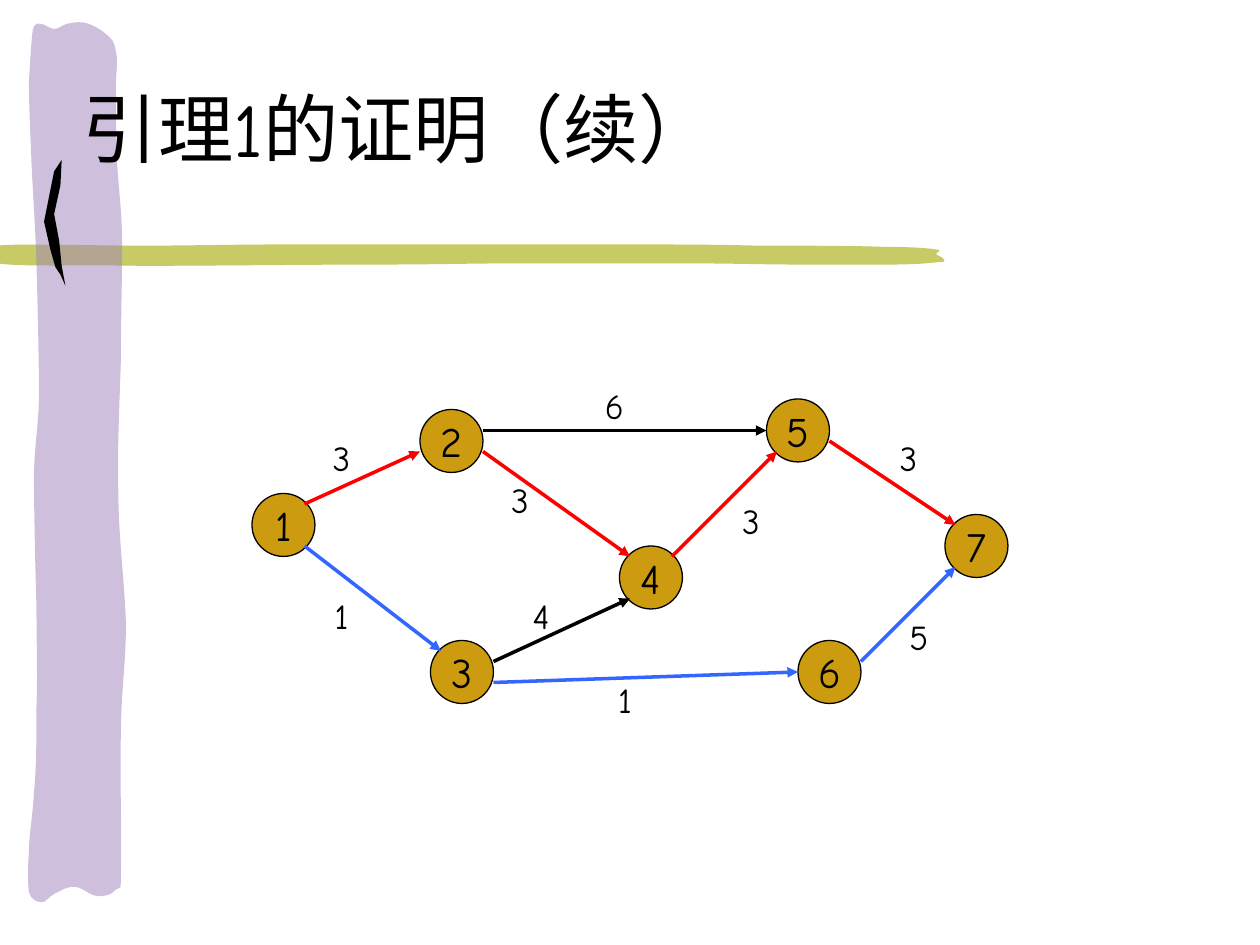
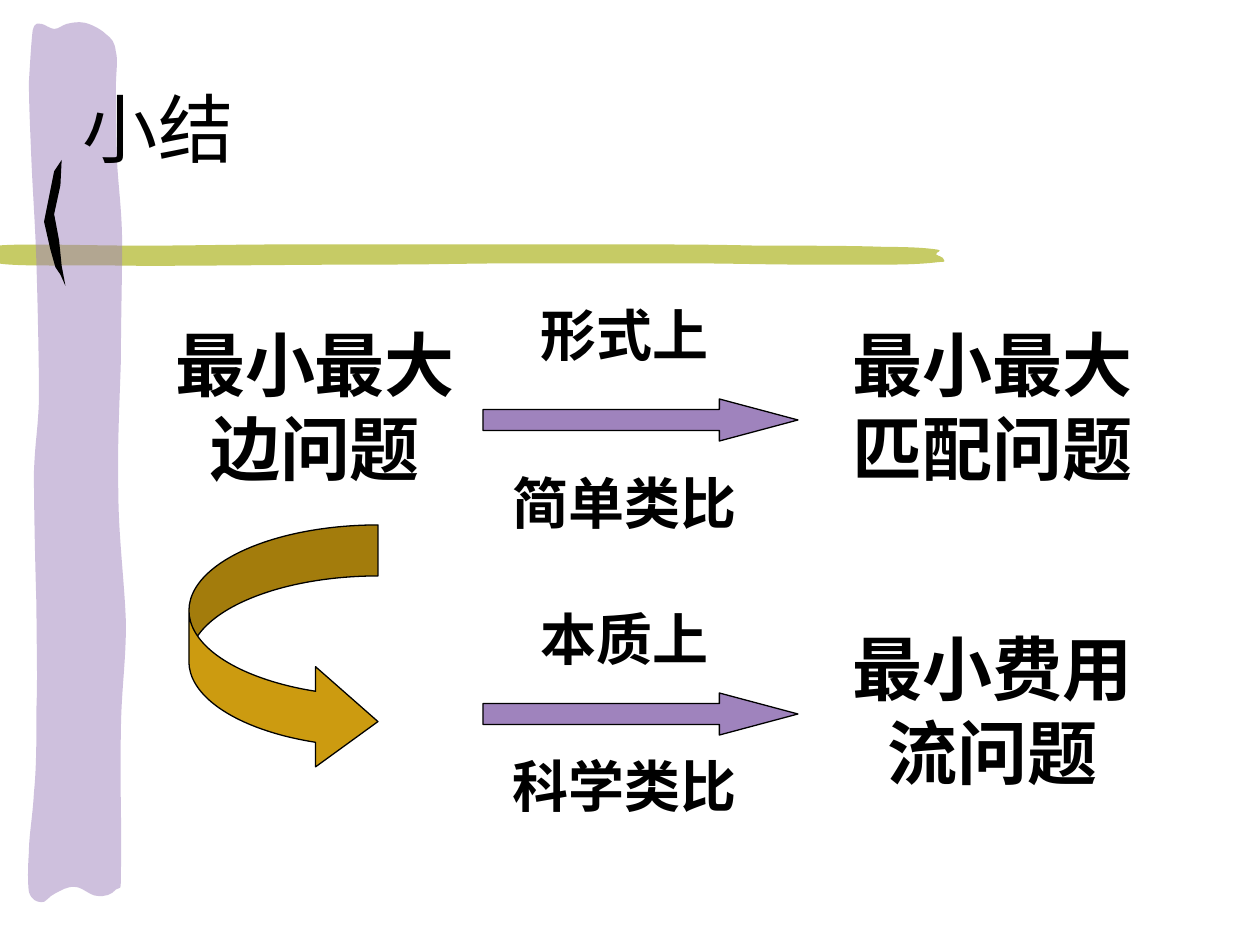
from lxml import etree
from pptx import Presentation
from pptx.dml.color import RGBColor
from pptx.enum.shapes import MSO_CONNECTOR as Connector, MSO_SHAPE as Shape
from pptx.enum.text import MSO_ANCHOR as Anchor, PP_ALIGN as Align
from pptx.oxml.ns import qn
from pptx.util import Inches, Pt

FONT = "Comic Neue"
BLACK, GOLD, PURPLE, OLIVE = "000000", "CC9B10", "9F83BD", "C6CB65"
RED, BLUE = "FF0000", "3366FF"

TITLE = dict(size=Pt(43))
NODE = dict(size=Pt(24))
WEIGHT = dict(size=Pt(20))
PROBLEM = dict(size=Pt(40), bold=True)
REMARK = dict(size=Pt(32), bold=True)

# Outlines in inches: two numbers are a line's end, six are a Bezier curve
BAND = [
    (6.01, 1.95), (6.36, 1.95, 6.78, 1.95, 7.02, 1.96), (7.25, 1.96, 7.36, 1.97, 7.43, 1.98),
    (7.5, 1.99, 7.42, 2, 7.43, 2.02), (7.44, 2.03, 7.49, 2.04, 7.49, 2.06),
    (7.49, 2.07, 7.52, 2.08, 7.45, 2.08), (7.38, 2.09, 7.24, 2.1, 7.06, 2.1),
    (6.88, 2.1, 6.63, 2.1, 6.35, 2.1), (6.08, 2.1, 5.77, 2.09, 5.41, 2.09),
    (5.04, 2.09, 4.55, 2.09, 4.14, 2.09), (3.74, 2.09, 3.49, 2.1, 2.98, 2.1),
    (2.48, 2.1, 1.62, 2.11, 1.12, 2.11), (0.61, 2.1, 0.17, 2.12, -0.02, 2.09), (-0.02, 1.95),
    (0.16, 1.93, 0.73, 1.95, 1.12, 1.95), (1.51, 1.95, 1.85, 1.94, 2.32, 1.94),
    (2.78, 1.94, 3.48, 1.94, 3.91, 1.94), (4.34, 1.94, 4.55, 1.94, 4.89, 1.94),
    (5.24, 1.94, 5.66, 1.94, 6.01, 1.95)]
RIBBON = [
    (0.29, 5.61), (0.3, 5.37, 0.29, 5.12, 0.29, 4.81), (0.28, 4.5, 0.27, 4.03, 0.27, 3.75),
    (0.28, 3.48, 0.3, 3.44, 0.31, 3.17), (0.31, 2.89, 0.3, 2.42, 0.29, 2.1),
    (0.28, 1.78, 0.26, 1.52, 0.25, 1.27), (0.24, 1.03, 0.23, 0.82, 0.23, 0.65),
    (0.24, 0.48, 0.25, 0.32, 0.26, 0.24), (0.28, 0.17, 0.3, 0.19, 0.33, 0.19),
    (0.35, 0.19, 0.4, 0.23, 0.43, 0.23), (0.47, 0.23, 0.49, 0.2, 0.53, 0.19),
    (0.57, 0.18, 0.62, 0.17, 0.67, 0.18), (0.72, 0.19, 0.8, 0.23, 0.84, 0.27),
    (0.89, 0.31, 0.91, 0.33, 0.92, 0.41), (0.94, 0.48, 0.92, 0.57, 0.92, 0.71),
    (0.92, 0.86, 0.92, 1.08, 0.93, 1.29), (0.94, 1.49, 0.97, 1.68, 0.97, 1.95),
    (0.97, 2.21, 0.96, 2.54, 0.96, 2.86), (0.95, 3.19, 0.93, 3.56, 0.94, 3.91),
    (0.94, 4.25, 0.99, 4.63, 1, 4.95), (1, 5.27, 0.96, 5.5, 0.96, 5.83),
    (0.95, 6.15, 0.97, 6.69, 0.96, 6.9), (0.96, 7.1, 0.96, 7.03, 0.92, 7.06),
    (0.89, 7.1, 0.83, 7.12, 0.77, 7.11), (0.72, 7.11, 0.65, 7.04, 0.6, 7.04),
    (0.54, 7.03, 0.48, 7.07, 0.44, 7.09), (0.39, 7.11, 0.36, 7.17, 0.33, 7.16),
    (0.29, 7.16, 0.25, 7.14, 0.23, 7.08), (0.22, 7.01, 0.22, 6.89, 0.23, 6.76),
    (0.23, 6.63, 0.26, 6.48, 0.27, 6.29), (0.29, 6.1, 0.29, 5.86, 0.29, 5.61)]
STROKE = [
    (0.49, 1.27), (0.48, 1.47), (0.43, 1.7), (0.47, 1.91), (0.49, 2.11), (0.52, 2.27),
    (0.48, 2.18), (0.44, 2.12), (0.4, 1.98), (0.35, 1.76), (0.39, 1.56), (0.43, 1.36),
    (0.49, 1.27)]

# Both diagrams lie on a grid of twelfths of an inch
GRID = 12
NODES = {"1": (0, 11), "2": (16, 3), "3": (17, 25), "4": (35, 16),
         "5": (49, 2), "6": (52, 25), "7": (66, 13)}
# start, end, colour, weight, corner of the weight's box
EDGES = [
    ((5, 12), (16, 7), RED, "3", (6, 5)),
    ((5, 16), (18, 26), BLUE, "1", (6, 20)),
    ((22, 5), (49, 5), BLACK, "6", (32, 0)),
    ((22, 7), (36, 17), RED, "3", (23, 9)),
    ((23, 29), (52, 28), BLUE, "1", (33, 28)),
    ((23, 27), (36, 21), BLACK, "4", (25, 20)),
    ((58, 27), (67, 18), BLUE, "5", (61, 22)),
    ((40, 17), (50, 7), RED, "3", (45, 11)),
    ((55, 6), (67, 14), RED, "3", (60, 5))]


def color(value):
    return RGBColor.from_string(value)


def cells(*values):
    """Grid steps as inches."""
    return [value / GRID for value in values]


def paint(shape, fill, outline=None):
    shape.shadow.inherit = False
    shape.fill.solid()
    shape.fill.fore_color.rgb = color(fill)
    if outline:
        shape.line.color.rgb = color(outline)
        shape.line.width = Pt(0.75)
    else:
        shape.line.fill.background()


def write(shape, text, style, align=Align.CENTER, anchor=Anchor.TOP, wrap=True):
    frame = shape.text_frame
    frame.word_wrap = wrap
    frame.vertical_anchor = anchor
    para = frame.paragraphs[0]
    para.alignment = align
    span = para.add_run()
    span.text = text
    for name, value in dict(name=FONT, **style).items():
        setattr(span.font, name, value)
    span.font.color.rgb = color(BLACK)


def add_text(page, box, text, style, **layout):
    write(page.shapes.add_textbox(*map(Inches, box)), text, style, **layout)


def add_shape(page, kind, box, fill):
    shape = page.shapes.add_shape(kind, *map(Inches, box))
    paint(shape, fill, BLACK)
    return shape


def add_outline(page, outline, fill):
    """Draw the segment ends, then bend the lines that are curves."""
    ends = [(Inches(segment[-2]), Inches(segment[-1])) for segment in outline]
    builder = page.shapes.build_freeform(*ends[0])
    builder.add_line_segments(ends[1:], close=True)
    shape = builder.convert_to_shape()
    paint(shape, fill)
    lines = list(shape._element.iter(qn("a:lnTo")))
    for line, segment in zip(lines, outline[1:]):
        if len(segment) == 2:
            continue
        curve = etree.Element(qn("a:cubicBezTo"))
        for x, y in zip(segment[::2], segment[1::2]):
            etree.SubElement(curve, qn("a:pt"), x=str(Inches(x) - shape.left),
                             y=str(Inches(y) - shape.top))
        line.getparent().replace(line, curve)
    return shape


def add_arrow(page, start, end, line_color):
    arrow = page.shapes.add_connector(Connector.STRAIGHT, *map(Inches, start + end))
    arrow.line.color.rgb = color(line_color)
    arrow.line.width = Pt(2)
    etree.SubElement(arrow.line._get_or_add_ln(), qn("a:tailEnd"), type="triangle")
    etree.SubElement(arrow._element.spPr, qn("a:effectLst"))


def add_page(deck, title):
    """Blank page with the brush strokes and the title."""
    page = deck.slides.add_slide(deck.slide_layouts[6])
    add_outline(page, BAND, OLIVE)
    ribbon = add_outline(page, RIBBON, PURPLE)
    tint = ribbon._element.spPr.find(qn("a:solidFill"))[0]
    etree.SubElement(tint, qn("a:alpha"), val="50000")
    add_outline(page, STROKE, BLACK)
    add_text(page, (0.56, 0.6, 9.4, 0.82), title, TITLE, align=Align.LEFT, anchor=Anchor.MIDDLE)
    return page


def draw_graph(page, left, top):
    def place(point):
        return cells(left + point[0], top + point[1])

    for label, corner in NODES.items():
        node = add_shape(page, Shape.OVAL, (*place(corner), 0.5, 0.5), GOLD)
        write(node, label, NODE, anchor=Anchor.MIDDLE, wrap=False)
    for start, end, line_color, weight, corner in EDGES:
        add_arrow(page, place(start), place(end), line_color)
        add_text(page, (*place(corner), 0.42, 0.44), weight, WEIGHT)


def draw_analogy(page, left, top, above, below, result, arrow_drop, below_drop):
    """Arrow with a remark above and below, leading to a problem."""
    for drop, remark in ((0, above), (below_drop, below)):
        add_text(page, (*cells(left + 1, top + drop, 25), 0.64), remark, REMARK)
    arrow = add_shape(page, Shape.RIGHT_ARROW, cells(left, top + arrow_drop, 30, 4), PURPLE)
    arrow.adjustments[1] = 1.87
    add_text(page, (*cells(left + 32, top + 2, 33), 1.44), result, PROBLEM)


def draw_source_problem(page, left, top):
    """Starting problem, with a bent arrow to the deeper analogy."""
    add_text(page, (*cells(left, top, 30), 1.44), "最小最大边问题", PROBLEM)
    bend = add_shape(page, Shape.CURVED_RIGHT_ARROW, cells(left + 3, top + 20, 18, 23.5), GOLD)
    for index, value in enumerate((0.27, 0.53, 0.33)):
        bend.adjustments[index] = value


def main():
    deck = Presentation()
    deck.slide_width, deck.slide_height = Inches(10), Inches(7.5)

    draw_graph(add_page(deck, "引理1的证明（续）"), 24, 36)

    summary = add_page(deck, "小结")
    draw_source_problem(summary, 15, 30)
    draw_analogy(summary, 46, 28, "形式上", "简单类比", "最小最大匹配问题", 10, 16)
    draw_analogy(summary, 46, 57, "本质上", "科学类比", "最小费用流问题", 9, 14)

    deck.save("out.pptx")


if __name__ == "__main__":
    main()
